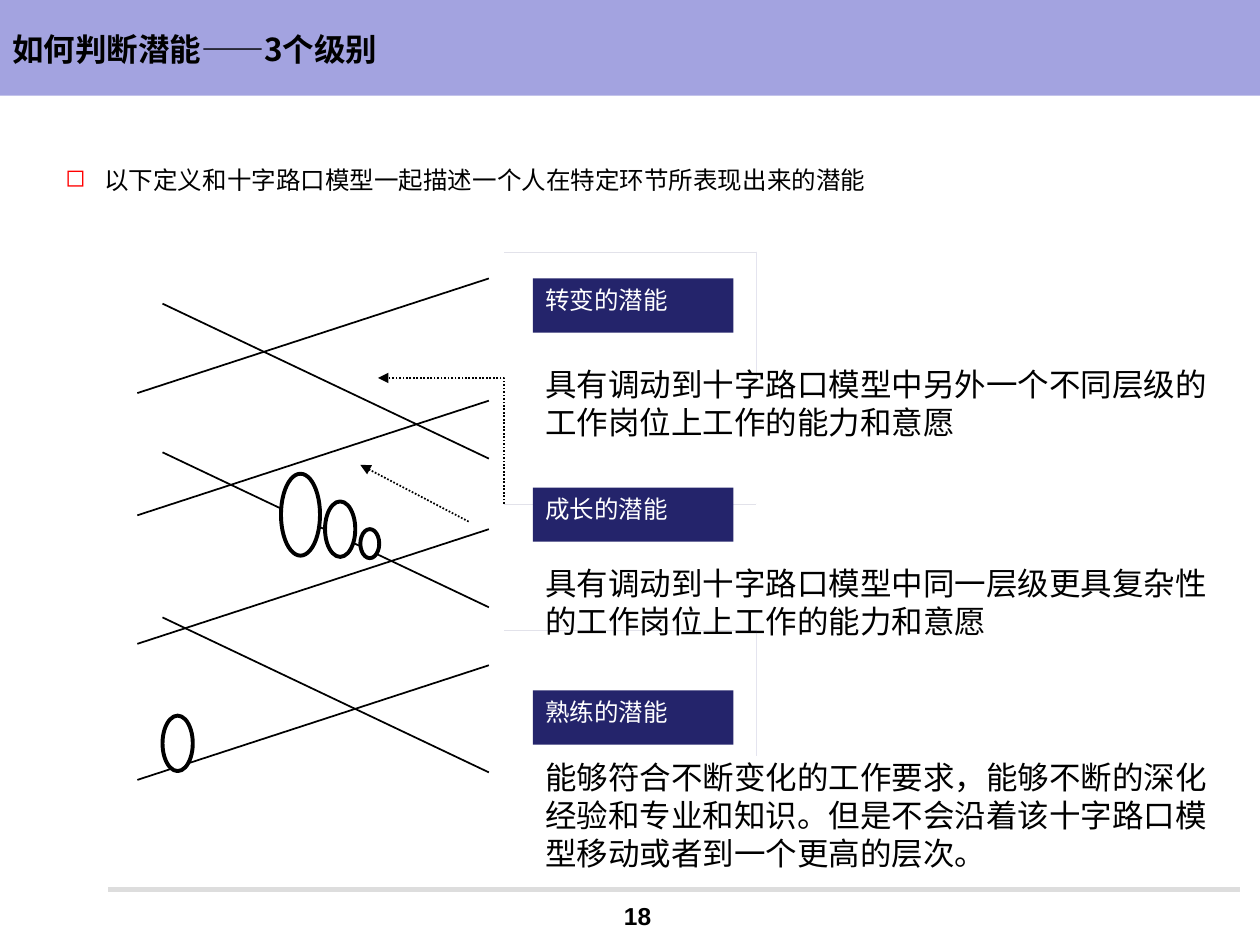
from typing import NamedTuple

from lxml.etree import SubElement
from pptx import Presentation
from pptx.dml.color import RGBColor
from pptx.enum.dml import MSO_LINE
from pptx.enum.shapes import MSO_CONNECTOR, MSO_SHAPE
from pptx.enum.text import MSO_ANCHOR, PP_ALIGN
from pptx.oxml.ns import qn
from pptx.util import Inches, Pt

BLACK = RGBColor(0x00, 0x00, 0x00)
WHITE = RGBColor(0xFF, 0xFF, 0xFF)
LILAC = RGBColor(0xA3, 0xA3, 0xE0)
GREY = RGBColor(0xDD, 0xDD, 0xDD)
FRONT = RGBColor(0x24, 0x24, 0x6B)
TOP = RGBColor(0x1F, 0x1F, 0x5B)
SIDE = RGBColor(0x2D, 0x2D, 0x82)
CJK = "Noto Sans CJK SC"

TEXT_X, TEXT_W = 4.23, 5.6
BOX_W, BOX_H, DEPTH = 1.59, 0.43, 0.17
LEFT, RIGHT = 1.09, 3.88
FALL_X, FALL, RISE = 1.29, 1.23, 0.91


class Level(NamedTuple):
    name: str
    box_y: float
    text: str
    text_y: float
    text_h: float


class Oval(NamedTuple):
    x: float
    y: float
    w: float
    h: float


LEVELS = [
    Level("转变的潜能", 2.21,
          "具有调动到十字路口模型中另外一个不同层级的工作岗位上工作的能力和意愿", 2.85, 0.7),
    Level("成长的潜能", 3.87,
          "具有调动到十字路口模型中同一层级更具复杂性的工作岗位上工作的能力和意愿", 4.43, 0.7),
    Level("熟练的潜能", 5.48,
          "能够符合不断变化的工作要求，能够不断的深化经验和专业和知识。"
          "但是不会沿着该十字路口模型移动或者到一个更高的层次。", 5.97, 1.0),
]
FALLING_Y = [2.41, 3.59, 4.9]
RISING_Y = [3.12, 4.09, 5.11, 6.19]
OVALS = [Oval(2.23, 3.76, 0.31, 0.65), Oval(2.58, 3.98, 0.24, 0.44),
         Oval(2.86, 4.2, 0.15, 0.23), Oval(1.29, 5.68, 0.24, 0.44)]
ARC = [(3.64, 3.64), (3.76, 3.25), (3.52, 2.84), (3.13, 2.73)]

prs = Presentation()
prs.slide_width, prs.slide_height = Inches(10), Inches(7.5)
s = prs.slides.add_slide(prs.slide_layouts[6])


def add_run(p, text: str, size: float, color: RGBColor = BLACK,
            font: str = CJK, bold: bool = False) -> None:
    r = p.add_run()
    r.text = text
    r.font.size, r.font.name, r.font.bold = Pt(size), font, bold
    r.font.color.rgb = color
    SubElement(r.font._element, qn("a:ea")).set("typeface", CJK)


def add_text(x: float, y: float, w: float, h: float, anchor=MSO_ANCHOR.TOP):
    tf = s.shapes.add_textbox(Inches(x), Inches(y), Inches(w), Inches(h)).text_frame
    tf.word_wrap, tf.vertical_anchor = True, anchor
    return tf.paragraphs[0]


def add_solid(kind, x: float, y: float, w: float, h: float, fill: RGBColor):
    sp = s.shapes.add_shape(kind, Inches(x), Inches(y), Inches(w), Inches(h))
    sp.shadow.inherit = False
    sp.fill.solid()
    sp.fill.fore_color.rgb = fill
    sp.line.fill.background()
    return sp


def add_path(points, closed: bool):
    fb = s.shapes.build_freeform(*points[0], scale=Inches(1))
    fb.add_line_segments(points[1:], close=closed)
    sp = fb.convert_to_shape()
    sp.shadow.inherit = False
    return sp


def add_line(x1: float, y1: float, x2: float, y2: float,
             color: RGBColor = BLACK, width: float = 1):
    c = s.shapes.add_connector(MSO_CONNECTOR.STRAIGHT, Inches(x1), Inches(y1),
                               Inches(x2), Inches(y2))
    c.line.color.rgb, c.line.width = color, Pt(width)
    SubElement(c._element.spPr, qn("a:effectLst"))
    return c


def dotted_arrow(sp) -> None:
    sp.line.color.rgb, sp.line.width = BLACK, Pt(1)
    sp.line.dash_style = MSO_LINE.ROUND_DOT
    SubElement(sp.line._get_or_add_ln(), qn("a:tailEnd")).set("type", "triangle")


def add_block(x: float, y: float, name: str) -> None:
    r, b, d = x + BOX_W, y + BOX_H, DEPTH
    faces = [([(x, y), (x + d, y - d), (r + d, y - d), (r, y)], TOP),
             ([(r, y), (r + d, y - d), (r + d, b - d), (r, b)], SIDE)]
    for points, color in faces:
        sp = add_path(points, True)
        sp.fill.solid()
        sp.fill.fore_color.rgb = color
        sp.line.fill.background()
    tf = add_solid(MSO_SHAPE.RECTANGLE, x, y, BOX_W, BOX_H, FRONT).text_frame
    tf.word_wrap, tf.vertical_anchor = False, MSO_ANCHOR.TOP
    tf.paragraphs[0].alignment = PP_ALIGN.LEFT
    add_run(tf.paragraphs[0], name, 14, WHITE)


def bezier(t: float, pts) -> tuple[float, float]:
    weights = ((1 - t) ** 3, 3 * t * (1 - t) ** 2, 3 * t * t * (1 - t), t ** 3)
    return (sum(k * x for k, (x, _) in zip(weights, pts)),
            sum(k * y for k, (_, y) in zip(weights, pts)))


# Title band, footer rule and page number
add_solid(MSO_SHAPE.RECTANGLE, 0, 0, 10, 0.76, LILAC)
add_run(add_text(0, 0.08, 9.67, 0.62, MSO_ANCHOR.MIDDLE),
        "如何判断潜能——3个级别", 18, bold=True)
add_line(0.86, 7.06, 9.84, 7.06, GREY, 2.75)
p = add_text(4.69, 7.09, 0.74, 0.35, MSO_ANCHOR.MIDDLE)
p.alignment = PP_ALIGN.CENTER
add_run(p, "18", 14, font="Arial", bold=True)

# Introductory bullet
p = add_text(0.42, 1.14, 8.99, 0.41)
p.line_spacing = 1.5
pPr = p._p.get_or_add_pPr()
pPr.set("marL", str(Inches(0.31)))
pPr.set("indent", str(-Inches(0.31)))
SubElement(SubElement(pPr, qn("a:buClr")), qn("a:srgbClr")).set("val", "FF0000")
SubElement(pPr, qn("a:buChar")).set("char", "◻")
add_run(p, "以下定义和十字路口模型一起描述一个人在特定环节所表现出来的潜能", 14, font="Arial")

# Levels with their definitions
for level in LEVELS:
    add_block(TEXT_X, level.box_y, level.name)
    add_run(add_text(TEXT_X, level.text_y, TEXT_W, level.text_h), level.text, 18)

# Crossroads diagram
for y in FALLING_Y:
    add_line(FALL_X, y, RIGHT, y + FALL)
for y in RISING_Y:
    add_line(LEFT, y, RIGHT, y - RISE)
for oval in OVALS:
    sp = add_solid(MSO_SHAPE.OVAL, *oval, WHITE)
    sp.line.color.rgb, sp.line.width = BLACK, Pt(2.25)

# Dotted arrows
dotted_arrow(add_line(3.72, 4.14, 2.86, 3.69))
arc = add_path([bezier(i / 24, ARC) for i in range(25)], False)
arc.fill.background()
dotted_arrow(arc)

prs.save("out.pptx")
